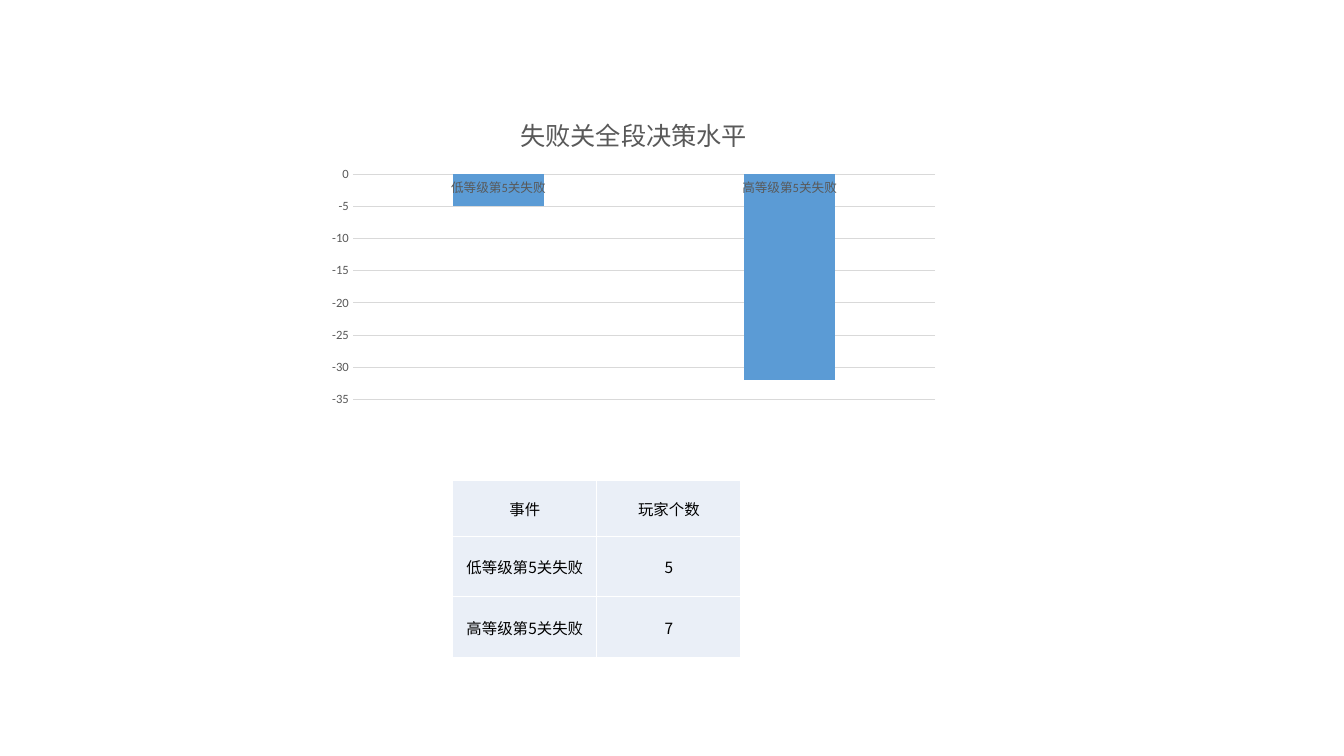
from lxml import etree
from pptx import Presentation
from pptx.chart.data import CategoryChartData
from pptx.dml.color import RGBColor
from pptx.enum.chart import XL_CHART_TYPE, XL_TICK_MARK
from pptx.enum.text import MSO_ANCHOR, PP_ALIGN
from pptx.oxml.ns import qn
from pptx.util import Inches, Pt

COLUMN, NO_TICK = XL_CHART_TYPE.COLUMN_CLUSTERED, XL_TICK_MARK.NONE
MIDDLE, CENTER = MSO_ANCHOR.MIDDLE, PP_ALIGN.CENTER

TITLE = "失败关全段决策水平"
EVENTS = ["低等级第5关失败", "高等级第5关失败"]
LEVELS = [-5, -32]
PLAYERS = [("事件", "玩家个数"), (EVENTS[0], "5"), (EVENTS[1], "7")]
ROW_HEIGHTS = [0.55, 0.6, 0.6]
COLUMN_WIDTH = 1.43
CHART_BOX = [3.17, 0.96, 6.23, 3.14]
TABLE_AT = [4.49, 4.77]
CELL_FORMAT = {"vertical_anchor": MIDDLE, "margin_left": Inches(0.01), "margin_right": Inches(0.01),
               "margin_top": Inches(0.01), "margin_bottom": 0}
LATIN, CHINESE = "Calibri", "Noto Sans CJK SC"
WHITE, BLACK, GREY, RULE, BLUE, PALE = "FFFFFF", "000000", "595959", "D9D9D9", "5B9BD5", "EAEFF7"


def rgb(value):
    return RGBColor.from_string(value)


def paint(fill, color):
    fill.solid()
    fill.fore_color.rgb = rgb(color)


def set_font(font, size, color, name):
    for key, value in {"size": Pt(size), "bold": False, "name": name}.items():
        setattr(font, key, value)
    font.color.rgb = rgb(color)


def rule(line):
    line.color.rgb = rgb(RULE)
    line.width = Pt(0.75)


def add_borders(cell):
    props = cell._tc.get_or_add_tcPr()
    for i, side in enumerate(("lnL", "lnR", "lnT", "lnB")):
        line = etree.Element(qn("a:" + side), w=str(Pt(1)))
        solid = etree.SubElement(line, qn("a:solidFill"))
        etree.SubElement(solid, qn("a:srgbClr"), val=WHITE)
        props.insert(i, line)


def add_level_chart(s):
    data = CategoryChartData()
    data.categories = EVENTS
    data.add_series("Series 1", LEVELS)
    chart = s.shapes.add_chart(COLUMN, *map(Inches, CHART_BOX), data).chart
    set_font(chart.font, 10, BLACK, LATIN)
    chart.has_legend = False
    chart.has_title = True
    p = chart.chart_title.text_frame.paragraphs[0]
    r = p.add_run()
    r.text = TITLE
    set_font(r.font, 18, GREY, LATIN)
    plot = chart.plots[0]
    for key, value in {"gap_width": 219, "overlap": -27, "vary_by_categories": False}.items():
        setattr(plot, key, value)
    paint(plot.series[0].format.fill, BLUE)
    plot.series[0].invert_if_negative = False
    for axis in (chart.category_axis, chart.value_axis):
        axis.major_tick_mark = axis.minor_tick_mark = NO_TICK
        set_font(axis.tick_labels.font, 9, GREY, LATIN)
    rule(chart.category_axis.format.line)
    chart.value_axis.format.line.fill.background()
    chart.value_axis.has_major_gridlines = True
    rule(chart.value_axis.major_gridlines.format.line)


def add_player_table(s):
    columns = len(PLAYERS[0])
    size = [COLUMN_WIDTH * columns, sum(ROW_HEIGHTS)]
    table = s.shapes.add_table(len(PLAYERS), columns, *map(Inches, TABLE_AT + size)).table
    table.first_row = table.horz_banding = False
    for row, height in zip(table.rows, ROW_HEIGHTS):
        row.height = Inches(height)
    for i, texts in enumerate(PLAYERS):
        for j, text in enumerate(texts):
            cell = table.cell(i, j)
            for key, value in CELL_FORMAT.items():
                setattr(cell, key, value)
            paint(cell.fill, PALE)
            add_borders(cell)
            p = cell.text_frame.paragraphs[0]
            p.alignment = CENTER
            r = p.add_run()
            r.text = text
            set_font(r.font, 11, BLACK, CHINESE)
            etree.SubElement(r._r.get_or_add_rPr(), qn("a:ea"), typeface=CHINESE)


def main():
    prs = Presentation()
    prs.slide_width, prs.slide_height = Inches(13.33), Inches(7.5)
    s = prs.slides.add_slide(prs.slide_layouts[6])
    paint(s.background.fill, WHITE)
    add_level_chart(s)
    add_player_table(s)
    prs.save("out.pptx")


if __name__ == "__main__":
    main()
